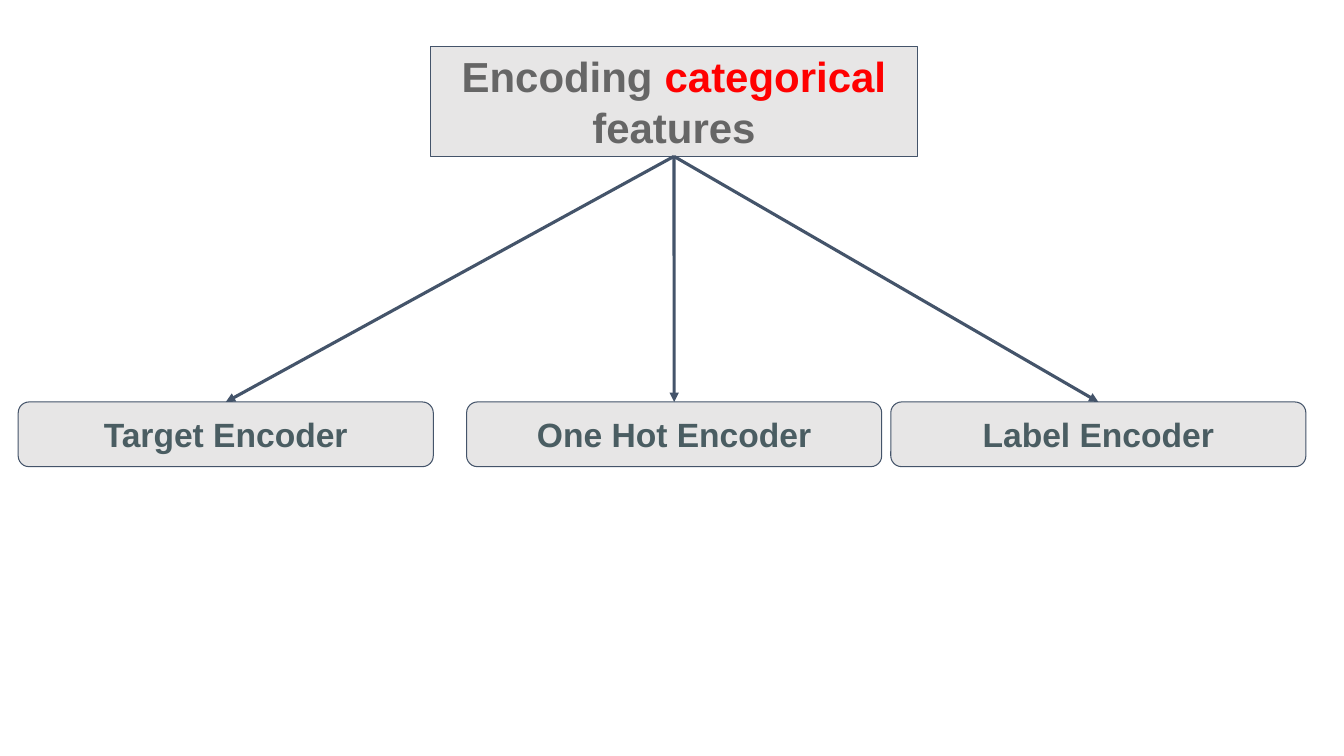
from lxml.etree import SubElement
from pptx import Presentation
from pptx.dml.color import RGBColor
from pptx.enum.shapes import MSO_CONNECTOR, MSO_SHAPE
from pptx.enum.text import MSO_ANCHOR, MSO_AUTO_SIZE, PP_ALIGN
from pptx.oxml.ns import qn
from pptx.util import Cm, Pt


def rgb(value):
    return RGBColor.from_string(value)


class Diagram:
    FONT = "Arial"
    FILL, LINE = "E7E6E6", "44546A"
    INSET = 0.25

    def __init__(self, slide):
        self.slide = slide

    def title(self, x, y, w, h, runs, size):
        sp = self.slide.shapes.title
        sp.left, sp.top, sp.width, sp.height = Cm(x), Cm(y), Cm(w), Cm(h)
        geom = SubElement(sp.element.spPr, qn("a:prstGeom"), prst="roundRect")
        SubElement(geom, qn("a:avLst"))
        return self.dress(sp, runs, size)

    def box(self, x, y, w, h, runs, size):
        sp = self.slide.shapes.add_shape(
            MSO_SHAPE.ROUNDED_RECTANGLE, Cm(x), Cm(y), Cm(w), Cm(h))
        sp.shadow.inherit = False
        return self.dress(sp, runs, size)

    def dress(self, sp, runs, size):
        sp.fill.solid()
        sp.fill.fore_color.rgb = rgb(self.FILL)
        sp.line.color.rgb = rgb(self.LINE)
        sp.line.width = Pt(0.75)
        tf = sp.text_frame
        tf.word_wrap = True
        tf.auto_size = MSO_AUTO_SIZE.NONE
        tf.vertical_anchor = MSO_ANCHOR.MIDDLE
        tf.margin_left = tf.margin_right = Cm(self.INSET)
        tf.margin_top = tf.margin_bottom = Cm(self.INSET)
        p = tf.paragraphs[0]
        p.alignment = PP_ALIGN.CENTER
        for text, color in runs:
            r = p.add_run()
            r.text = text
            r.font.name, r.font.size, r.font.bold = self.FONT, Pt(size), True
            r.font.color.rgb = rgb(color)
        return sp

    def arrow(self, parent, child):
        cxn = self.slide.shapes.add_connector(MSO_CONNECTOR.STRAIGHT, 0, 0, 0, 0)
        cxn.begin_connect(parent, 2)
        cxn.end_connect(child, 0)
        cxn.line.color.rgb = rgb(self.LINE)
        cxn.line.width = Pt(2.25)
        SubElement(cxn.line._get_or_add_ln(), qn("a:tailEnd"), type="triangle")
        SubElement(cxn._element.spPr, qn("a:effectLst"))


def main():
    prs = Presentation()
    prs.slide_width, prs.slide_height = Cm(33.87), Cm(19.05)
    s = Diagram(prs.slides.add_slide(prs.slide_layouts[5]))

    # Root topic
    root = s.title(10.85, 1.17, 12.27, 2.77, [
        ("Encoding ", "666666"),
        ("categorical ", "FF0000"),
        ("features", "666666"),
    ], 30)

    # Encoders
    encoders = [("Target Encoder", 0.46), ("One Hot Encoder", 11.76),
                ("Label Encoder", 22.45)]
    boxes = [s.box(x, 10.13, 10.46, 1.63, [(name, "4A5D62")], 24)
             for name, x in encoders]

    # Arrows from the topic to each encoder
    for box in boxes:
        s.arrow(root, box)

    prs.save("out.pptx")


if __name__ == "__main__":
    main()
